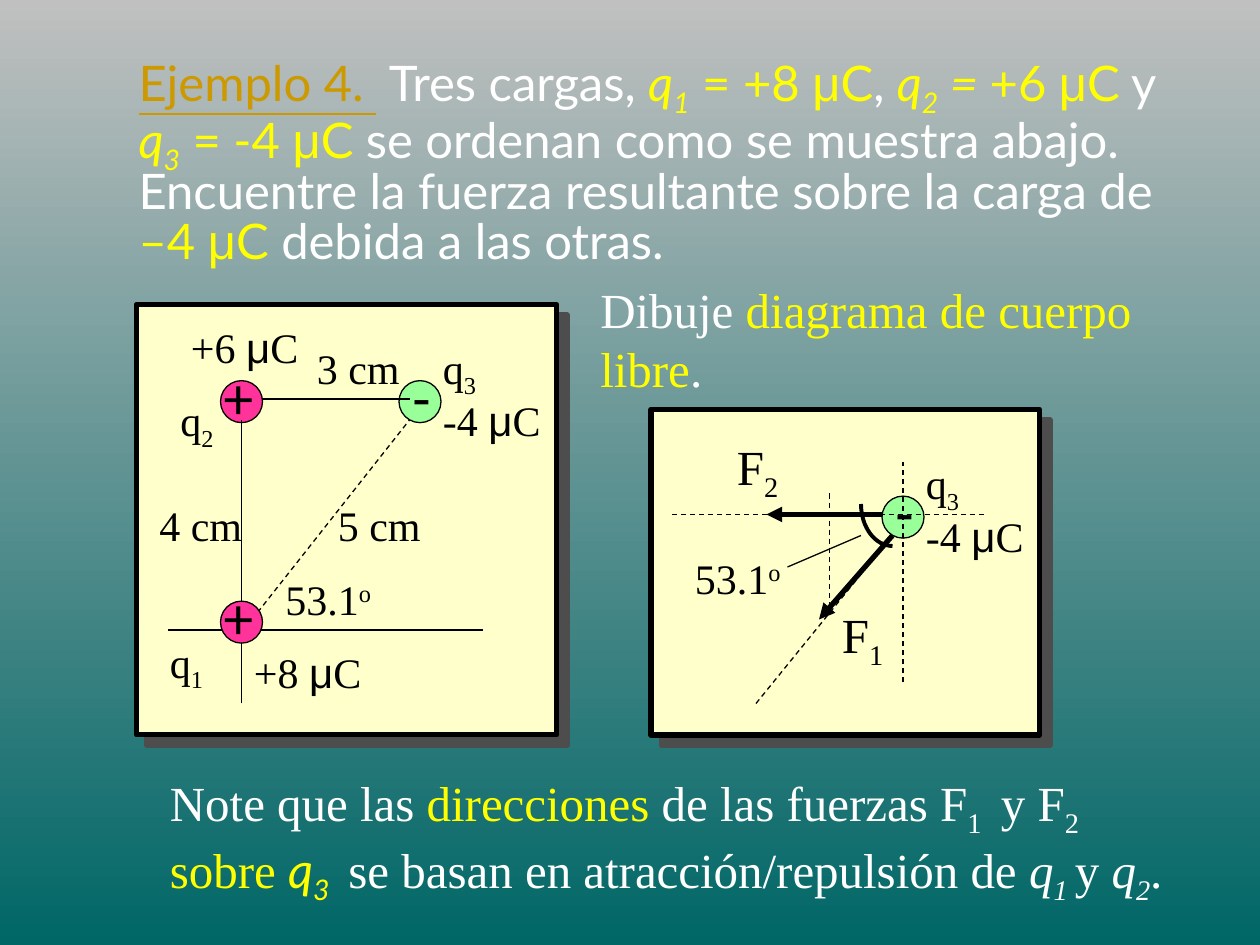
from math import cos, pi, sin

from lxml.etree import SubElement
from pptx import Presentation
from pptx.dml.color import RGBColor
from pptx.enum.dml import MSO_LINE
from pptx.enum.shapes import MSO_CONNECTOR, MSO_SHAPE
from pptx.enum.text import MSO_ANCHOR, MSO_AUTO_SIZE as AUTO_SIZE, PP_ALIGN
from pptx.oxml.ns import qn
from pptx.util import Pt

COLORS = {"sky": "C0C0C0", "sea": "006666", "gold": "CC9900", "white": "FFFFFF",
          "yellow": "FFFF00", "black": "000000", "cream": "FFFFCC",
          "positive": "FF3399", "negative": "99FF99", "shadow": "4D4D4D"}
SERIF, SANS, GREEK = "Times New Roman", "Lato", "Arial"

# Run styles
WHITE, YELLOW = {"color": "white"}, {"color": "yellow"}
ITALIC, SUB, SUPER = {"italic": True}, {"baseline": -25}, {"baseline": 30}
ITALIC_SUB = ITALIC | SUB
MU = ("μ", {"font": GREEK})
YELLOW_MU = ("μ", YELLOW | {"font": GREEK})
YELLOW_Q = YELLOW | ITALIC
YELLOW_Q_SUB = YELLOW | ITALIC_SUB

TITLE = [
    ("Ejemplo 4. ", {"color": "gold", "underline": True}), (" ", {"color": "gold"}),
    ("Tres cargas, ", WHITE),
    ("q", YELLOW_Q), ("1", YELLOW_Q_SUB), (" = +8 ", YELLOW), YELLOW_MU, ("C", YELLOW),
    (", ", WHITE),
    ("q", YELLOW_Q), ("2", YELLOW_Q_SUB), (" = ", YELLOW_Q), ("+6 ", YELLOW),
    YELLOW_MU, ("C", YELLOW), (" y ", WHITE),
    ("q", YELLOW_Q), ("3", YELLOW_Q_SUB), (" = -4 ", YELLOW), YELLOW_MU, ("C", YELLOW),
    (" se ordenan como se muestra abajo. "
     "Encuentre la fuerza resultante sobre la carga de ", WHITE),
    ("–4 ", YELLOW), YELLOW_MU, ("C", YELLOW), (" debida a las otras.", WHITE),
]
PROMPT = [("Dibuje ", WHITE), ("diagrama de cuerpo libre", YELLOW), (".", WHITE)]
NOTE = [
    ("Note que las ", WHITE), ("direcciones", YELLOW), (" de las fuerzas F", WHITE),
    ("1 ", WHITE | SUB), (" y F", WHITE), ("2 ", WHITE | SUB), ("sobre ", YELLOW),
    ("q", YELLOW_Q | {"font": SANS}), ("3 ", YELLOW_Q_SUB | {"font": SANS}),
    (" se basan en atracción/repulsión de ", WHITE),
    ("q", WHITE | ITALIC), ("1 ", WHITE | ITALIC_SUB), ("y ", WHITE),
    ("q", WHITE | ITALIC), ("2", WHITE | ITALIC_SUB), (".", WHITE),
]
ANGLE = [("53.1", {}), ("o", SUPER)]

# Label kind: width, height, size
LABELS = {"measure": (66, 36, 24), "value": (90, 36, 24),
          "name": (36, 36, 24), "force": (48, 41, 28)}


def symbol(letter, index):
    return [(letter, {}), (index, SUB)]


def charge_value(number):
    return [(number + " ", {}), MU, ("C", {})]


# Each diagram: frame, then its parts from back to front
FREE_BODY = ((372, 234, 222, 186), [
    ("charge", 504, 270, "-"),
    ("dashed", 516, 390, 516, 264),
    ("dashed", 384, 294, 564, 294),
    ("dashed", 432, 402, 510, 306),
    ("measure", 390, 312, ANGLE),
    ("value", 522, 288, charge_value("-4")),
    ("name", 522, 258, symbol("q", "3")),
    ("arrow", 510, 306, 468, 354),
    ("arrow", 504, 294, 438, 294),
    ("dashed", 474, 282, 474, 348),
    ("force", 474, 342, symbol("F", "1")),
    ("force", 414, 246, symbol("F", "2")),
    ("arc", 510, 288, 18, 24),
    ("line", 450, 324, 492, 306),
])
CHARGES = ((78, 174, 240, 246), [
    ("charge", 120, 204, "+"),
    ("charge", 228, 204, "-"),
    ("line", 138, 402, 138, 240),
    ("line", 96, 360, 276, 360),
    ("line", 150, 228, 234, 228),
    ("measure", 84, 282, [("4 cm", {})]),
    ("measure", 174, 192, [("3 cm", {})]),
    ("dashed", 144, 354, 234, 240),
    ("measure", 186, 282, [("5 cm", {})]),
    ("measure", 156, 324, ANGLE),
    ("value", 102, 180, charge_value("+6")),
    ("value", 246, 222, charge_value("-4")),
    ("value", 138, 366, charge_value("+8")),
    ("name", 90, 360, symbol("q", "1")),
    ("name", 96, 222, symbol("q", "2")),
    ("name", 246, 192, symbol("q", "3")),
    ("charge", 120, 330, "+"),
])


def rgb(name):
    return RGBColor.from_string(COLORS[name])


def points(*lengths):
    return [Pt(length) for length in lengths]


def write(para, runs, size, font):
    for text, style in runs:
        span = para.add_run()
        span.text = text
        span.font.size = Pt(size)
        span.font.name = style.get("font", font)
        span.font.color.rgb = rgb(style.get("color", "black"))
        span.font.italic = style.get("italic", False)
        span.font.underline = style.get("underline", False)
        span.font.bold = False
        if "baseline" in style:
            span.font._element.set("baseline", str(style["baseline"] * 1000))


def add_text(shapes, place, runs, size, font=SERIF):
    box = shapes.add_textbox(*points(*place))
    box.text_frame.word_wrap = True
    box.text_frame.auto_size = AUTO_SIZE.SHAPE_TO_FIT_TEXT
    write(box.text_frame.paragraphs[0], runs, size, font)


def add_filled(shapes, preset, place, fill, width):
    shape = shapes.add_shape(preset, *points(*place))
    shape.shadow.inherit = False
    shape.fill.solid()
    shape.fill.fore_color.rgb = rgb(fill)
    shape.line.color.rgb = rgb("black")
    shape.line.width = Pt(width)
    return shape


def add_frame(shapes, place):
    frame = add_filled(shapes, MSO_SHAPE.RECTANGLE, place, "cream", 3)
    effects = frame._element.spPr.find(qn("a:effectLst"))
    shadow = SubElement(effects, qn("a:outerShdw"), dist=str(Pt(8.5)),
                        dir=str(45 * 60000), algn="ctr", rotWithShape="0")
    SubElement(shadow, qn("a:srgbClr"), val=COLORS["shadow"])


def add_charge(shapes, left, top, sign):
    indent, fill = (6, "positive") if sign == "+" else (0, "negative")
    add_filled(shapes, MSO_SHAPE.OVAL, (left + indent, top + 13.5, 24, 24), fill, 0.75)
    add_text(shapes, (left, top, 30, 45), [(sign, {})], 32, SANS)


def add_line(shapes, kind, ends):
    line = shapes.add_connector(MSO_CONNECTOR.STRAIGHT, *points(*ends))
    line.line.color.rgb = rgb("black")
    line.line.width = Pt(3 if kind == "arrow" else 0.75)
    if kind == "dashed":
        line.line.dash_style = MSO_LINE.DASH
    if kind == "arrow":
        SubElement(line.line._get_or_add_ln(), qn("a:tailEnd"), type="triangle")
    SubElement(line._element.spPr, qn("a:effectLst"))


def add_arc(shapes, center_x, center_y, radius_x, radius_y, steps=16):
    """Draw the lower left quarter of an ellipse."""
    turns = [pi / 2 * (1 + step / steps) for step in range(steps + 1)]
    curve = [points(center_x + radius_x * cos(turn), center_y + radius_y * sin(turn))
             for turn in turns]
    builder = shapes.build_freeform(*curve[0])
    builder.add_line_segments(curve[1:], close=False)
    arc = builder.convert_to_shape()
    arc.shadow.inherit = False
    arc.fill.background()
    arc.line.color.rgb = rgb("black")
    arc.line.width = Pt(2.25)


def add_diagram(slide, frame, parts):
    shapes = slide.shapes.add_group_shape().shapes
    add_frame(shapes, frame)
    for kind, *details in parts:
        if kind == "charge":
            add_charge(shapes, *details)
        elif kind == "arc":
            add_arc(shapes, *details)
        elif kind in LABELS:
            left, top, runs = details
            width, height, size = LABELS[kind]
            add_text(shapes, (left, top, width, height), runs, size)
        else:
            add_line(shapes, kind, details)


def main():
    deck = Presentation()
    deck.slide_width, deck.slide_height = points(720, 540)
    slide = deck.slides.add_slide(deck.slide_layouts[5])
    backdrop = slide.background.fill
    backdrop.gradient()
    backdrop.gradient_angle = 270
    for stop, color in zip(backdrop.gradient_stops, ("sky", "sea")):
        stop.color.rgb = rgb(color)

    title = slide.shapes.title
    title.left, title.top, title.width, title.height = points(72, 48, 612, 90)
    title.text_frame.auto_size = AUTO_SIZE.NONE
    title.text_frame.vertical_anchor = MSO_ANCHOR.MIDDLE
    para = title.text_frame.paragraphs[0]
    para.alignment = PP_ALIGN.LEFT
    para.line_spacing = 0.85
    write(para, TITLE, 28, SANS)

    add_text(slide.shapes, (336, 156, 318, 74), PROMPT, 28)
    add_diagram(slide, *FREE_BODY)
    add_text(slide.shapes, (90, 438, 594, 74), NOTE, 28)
    add_diagram(slide, *CHARGES)
    deck.save("out.pptx")


if __name__ == "__main__":
    main()
